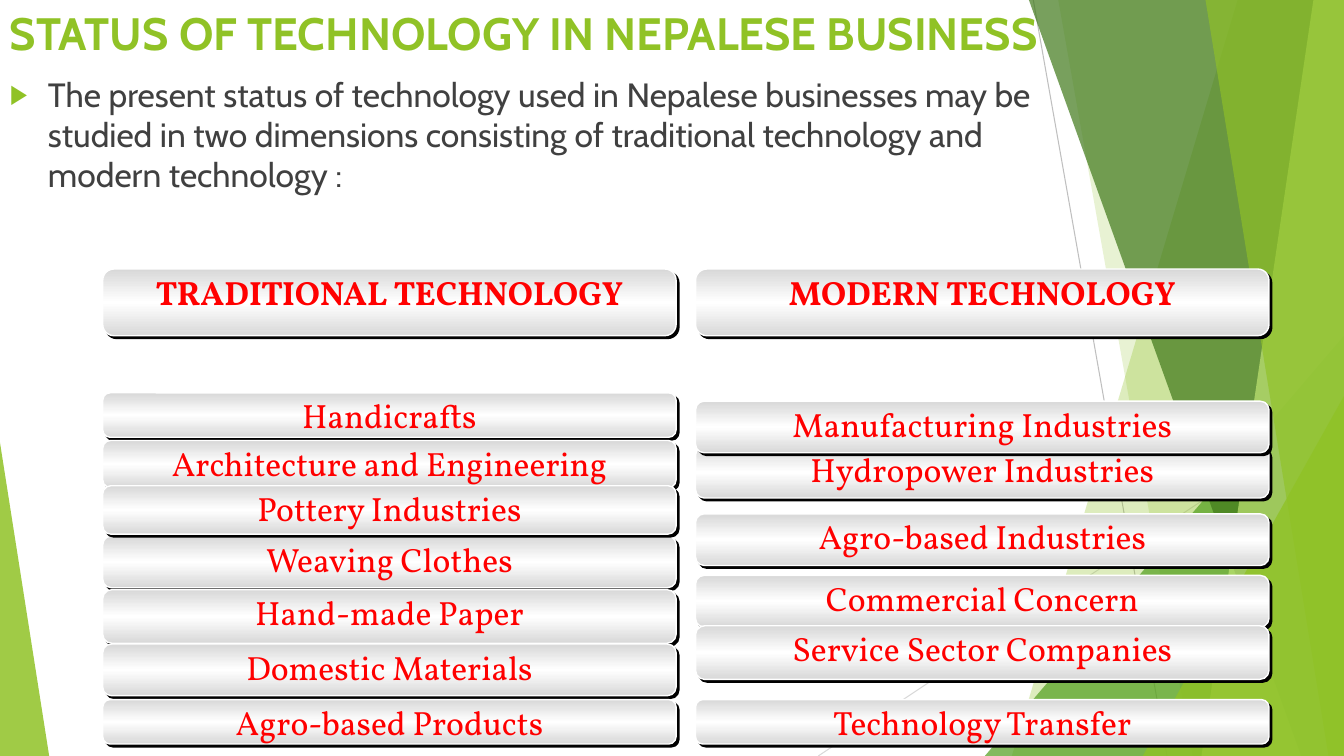
from copy import deepcopy

from pptx import Presentation
from pptx.dml.color import RGBColor
from pptx.enum.shapes import MSO_CONNECTOR, MSO_SHAPE
from pptx.enum.text import MSO_ANCHOR, PP_ALIGN
from pptx.oxml import parse_xml
from pptx.oxml.ns import nsdecls, qn
from pptx.oxml.xmlchemy import OxmlElement
from pptx.util import Cm, Pt

SLIDE_W, SLIDE_H = 33.87, 19.05
GREEN, RED = "90C226", "FF0000"
TITLE_FONT = {"name": "Cabin", "size": Pt(32.4), "bold": True}
INTRO_FONT = {"name": "Cabin", "size": Pt(24), "bold": False}
HEADING_FONT = {"name": "Vollkorn", "size": Pt(24), "bold": True}
ROW_FONT = HEADING_FONT | {"bold": False}
BAR_FRAME = {"margin_left": 0, "margin_right": 0, "margin_top": 0, "margin_bottom": 0}

SIDE_LINES = [(26.04, 0, 29.41, SLIDE_H, "BFBFBF"),
              (SLIDE_W, 10.24, 20.62, SLIDE_H, "D9D9D9")]
FACETS_BEHIND = [(31.19, 25.5, GREEN, 30), (26.67, 30.05, GREEN, 20)]
FACETS_FRONT = [(25.93, 32.79, "3F7819", 70), (33.1, 30.28, "C0E474", 70),
                (30.38, 33.48, GREEN, 65)]

TRADITIONAL = [("Weaving Clothes", 6.73, 1.3), ("Hand-made Paper", 8.08, 1.35),
               ("Domestic Materials", 9.45, 1.3), ("Agro-based Products", 10.85, 1.12),
               ("Handicrafts", 3.12, 1.12), ("Architecture and Engineering", 4.32, 1.19),
               ("Pottery Industries", 5.46, 1.22)]
MODERN = [("Commercial Concern", 7.72, 1.3), ("Service Sector Companies", 8.99, 1.35),
          ("Technology Transfer", 10.85, 1.12), ("Agro-based Industries", 6.17, 1.3),
          ("Hydropower Industries", 4.47, 1.3), ("Manufacturing Industries", 3.33, 1.3)]


def rgb(hex_string):
    """Turn a hex string into a colour."""
    return RGBColor.from_string(hex_string)


def apply(target, values):
    """Set every attribute named in a dict of format values."""
    for name, value in values.items():
        setattr(target, name, value)


def write(shape, text, font, color, frame_values):
    """Write one wrapped, top-anchored paragraph into a shape."""
    frame = shape.text_frame
    apply(frame, {"word_wrap": True, "vertical_anchor": MSO_ANCHOR.TOP} | frame_values)
    paragraph = frame.paragraphs[0]
    run = paragraph.add_run()
    run.text = text
    apply(run.font, font)
    run.font.color.rgb = rgb(color)
    return paragraph


def tint(shape, color, opacity):
    """Fill a borderless shape with a see-through colour."""
    shape.shadow.inherit = False
    shape.line.fill.background()
    shape.fill.solid()
    shape.fill.fore_color.rgb = rgb(color)
    alpha = OxmlElement("a:alpha")
    alpha.set("val", str(opacity * 1000))
    shape._element.spPr.find(qn("a:solidFill"))[0].append(alpha)


def facet(slide, top_x, bottom_x, color, opacity):
    """Draw a full-height facet that reaches the right edge."""
    builder = slide.shapes.build_freeform(Cm(top_x), 0)
    corners = [(SLIDE_W, 0), (SLIDE_W, SLIDE_H), (bottom_x, SLIDE_H)]
    builder.add_line_segments([(Cm(x), Cm(y)) for x, y in corners], close=True)
    tint(builder.convert_to_shape(), color, opacity)


def corner(slide, left, top, width, apex, color, opacity):
    """Draw a right triangle standing on the bottom edge."""
    triangle = slide.shapes.add_shape(MSO_SHAPE.ISOSCELES_TRIANGLE, Cm(left), Cm(top),
                                      Cm(width), Cm(SLIDE_H - top))
    triangle.adjustments[0] = apex
    tint(triangle, color, opacity)


def backdrop(slide):
    """Draw the green facets and thin lines at the slide's edges."""
    for x1, y1, x2, y2, color in SIDE_LINES:
        line = slide.shapes.add_connector(MSO_CONNECTOR.STRAIGHT, Cm(x1), Cm(y1), Cm(x2), Cm(y2))
        line.line.color.rgb = rgb(color)
        line.line.width = Pt(0.75)
        line._element.spPr.append(OxmlElement("a:effectLst"))
    for values in FACETS_BEHIND:
        facet(slide, *values)
    corner(slide, 24.82, 8.46, 9.05, 1, "54A021", 72)
    for values in FACETS_FRONT:
        facet(slide, *values)
    corner(slide, 28.8, 9.98, 5.07, 1, GREEN, 80)
    corner(slide, 0, 11.15, 1.24, 0, GREEN, 85)


def introduction(slide, left, top, width):
    """Place the title and the bulleted sentence below it."""
    title = slide.shapes.add_textbox(Cm(left), Cm(top), Cm(width), Cm(2.24))
    write(title, "STATUS OF TECHNOLOGY IN NEPALESE BUSINESS", TITLE_FONT, GREEN, {})
    intro = slide.shapes.add_textbox(Cm(left), Cm(top + 1.73), Cm(width), Cm(3.91))
    sentence = write(intro, "The present status of technology used in Nepalese businesses may be "
                     "studied in two dimensions consisting of traditional technology and "
                     "modern technology :", INTRO_FONT, "404040", {})
    layout = sentence._p.get_or_add_pPr()
    layout.set("marL", str(Cm(0.96)))
    layout.set("indent", str(-Cm(0.96)))
    for bullet in (f'<a:buClr {nsdecls("a")}><a:srgbClr val="{GREEN}"/></a:buClr>',
                   f'<a:buSzPct {nsdecls("a")} val="80000"/>',
                   f'<a:buFont {nsdecls("a")} typeface="Wingdings 3"/>'.replace("Wingdings 3", "Arial"),
                   f'<a:buChar {nsdecls("a")} char="▶"/>'):
        layout.append(parse_xml(bullet))


def bar(slide, left, top, width, height, text, font):
    """Draw one silver bar with a hard shadow and red text."""
    shape = slide.shapes.add_shape(MSO_SHAPE.ROUNDED_RECTANGLE, Cm(left), Cm(top),
                                   Cm(width), Cm(height))
    shape.line.color.rgb = rgb("FFFFFF")
    shape.line.width = Pt(1)
    shape.fill.gradient()
    shape.fill.gradient_angle = 90
    properties = shape._element.spPr
    stops = properties.find(qn("a:gradFill")).find(qn("a:gsLst"))
    stops.append(deepcopy(stops[0]))
    for stop, position, color in zip(shape.fill.gradient_stops, (0, 0.5, 1),
                                     ("D8D8D8", "FFFFFF", "D8D8D8")):
        stop.position = position
        stop.color.rgb = rgb(color)
    shape.shadow.inherit = False
    properties.find(qn("a:effectLst")).append(parse_xml(
        f'<a:outerShdw {nsdecls("a")} dist="{Pt(2.8)}" dir="2700000" algn="ctr" '
        'rotWithShape="0"><a:srgbClr val="000000"/></a:outerShdw>'))
    label = write(shape, text, font, RED, BAR_FRAME)
    apply(label, {"alignment": PP_ALIGN.CENTER, "space_after": Pt(10)})


def technology_column(slide, left, top, width, heading, rows):
    """Place a heading bar and its rows, each offset from the column's top."""
    bar(slide, left, top, width, 1.68, heading, HEADING_FONT)
    for text, offset, height in rows:
        bar(slide, left, top + offset, width, height, text, ROW_FONT)


def main():
    """Build and save the slide."""
    presentation = Presentation()
    presentation.slide_width, presentation.slide_height = Cm(SLIDE_W), Cm(SLIDE_H)
    slide = presentation.slides.add_slide(presentation.slide_layouts[6])
    backdrop(slide)
    introduction(slide, 0, 0, 27.72)
    technology_column(slide, 2.59, 6.78, 14.45, "TRADITIONAL TECHNOLOGY", TRADITIONAL)
    technology_column(slide, 17.53, 6.78, 14.45, "MODERN TECHNOLOGY", MODERN)
    presentation.save("out.pptx")


if __name__ == "__main__":
    main()
